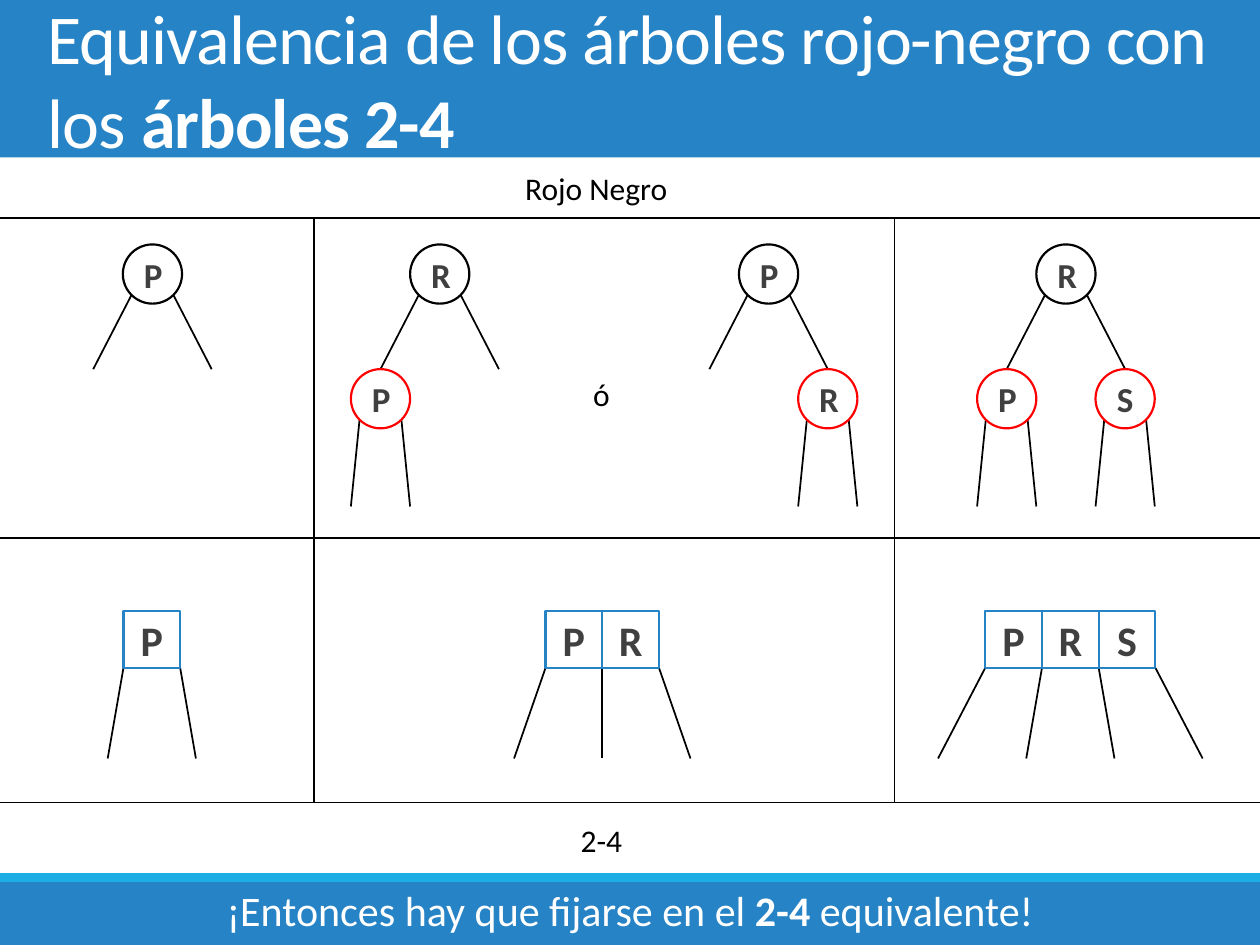
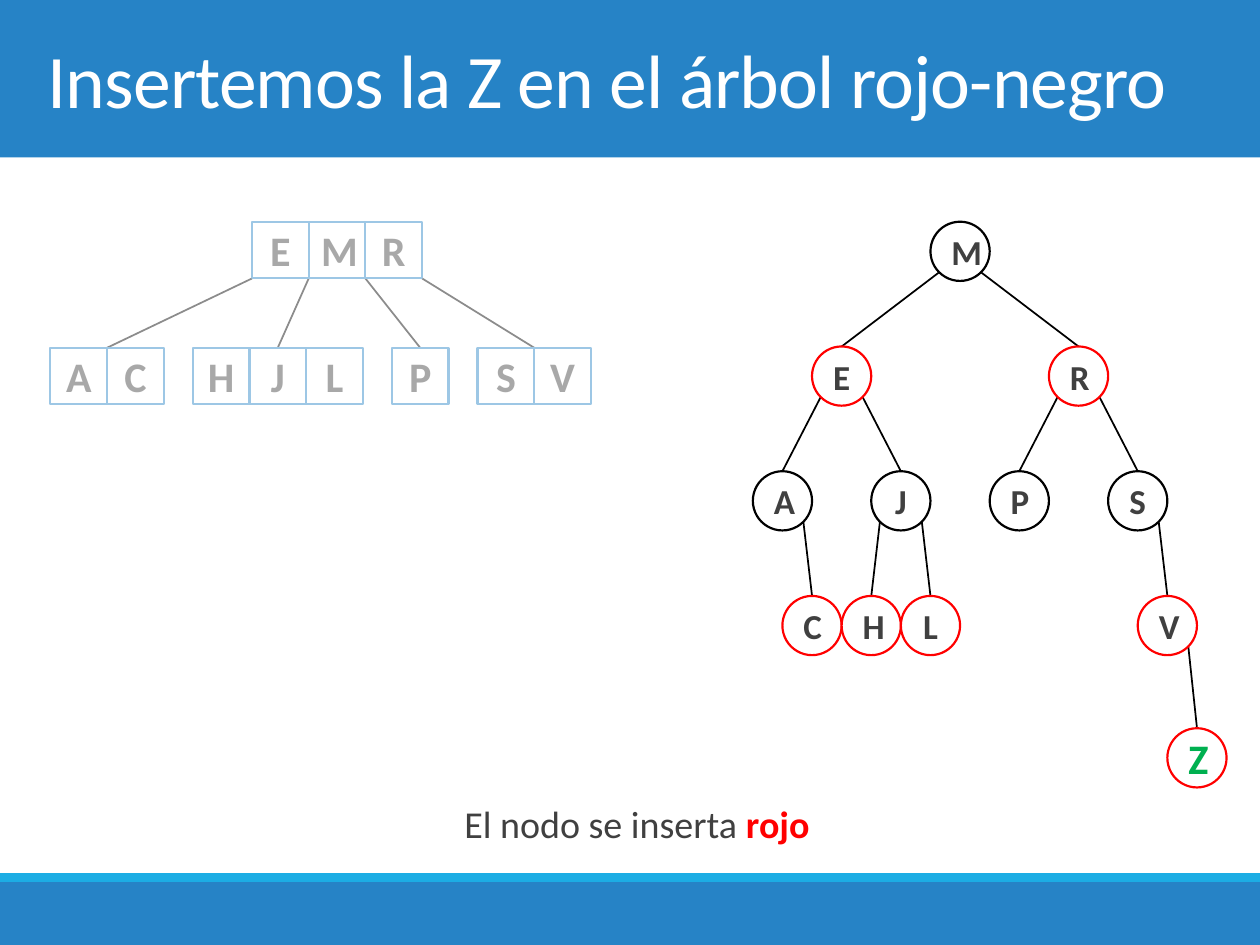
import dataclasses
import pptx
import pptx.dml.color
import pptx.enum.shapes
import pptx.enum.text
import pptx.oxml.ns
import pptx.util
import lxml.etree

Inches = pptx.util.Inches
Pt = pptx.util.Pt
MSO_SHAPE = pptx.enum.shapes.MSO_SHAPE
PP_ALIGN = pptx.enum.text.PP_ALIGN
qn = pptx.oxml.ns.qn

# Shared look
FONT = "Calibri"
BLUE, CYAN, WHITE, BLACK = "2683C6", "1CADE4", "FFFFFF", "000000"
GREY, RED, GREEN = "404040", "FF0000", "00B050"
WIDTH, HEIGHT = 10, 7.5
TITLE_HEIGHT, FOOTER_TOP, STRIPE_TOP = 1.25, 7, 6.93
MARGIN, TEXT_WIDTH = 0.28, 9.45

# Tree measures
DIAMETER = 0.47
RADIUS = DIAMETER / 2
DIAGONAL = RADIUS * 0.707
LEVEL = 0.99
CELL = 0.45
OPEN = "open"  # a branch that ends without a node


@dataclasses.dataclass
class Node:
    letter: str
    line: str = BLACK
    left: object = None
    right: object = None
    color: str = GREY
    size: int = 20


def rgb(color):
    return pptx.dml.color.RGBColor.from_string(color)


def add_run(p, text, size, color, bold=False, spacing=None):
    r = p.add_run()
    r.text = text
    r.font.name = FONT
    r.font.size = Pt(size)
    r.font.color.rgb = rgb(color)
    r.font.bold = bold
    if spacing:
        r.font._element.set("spc", str(int(spacing * 100)))


def add_shape(s, kind, left, top, width, height, fill, line=None):
    sp = s.shapes.add_shape(kind, Inches(left), Inches(top), Inches(width), Inches(height))
    sp.shadow.inherit = False
    sp.fill.solid()
    sp.fill.fore_color.rgb = rgb(fill)
    if line:
        sp.line.color.rgb = rgb(line)
        sp.line.width = Pt(1.25)
    else:
        sp.line.fill.background()
    return sp


def add_letter(s, kind, left, top, side, letter, size, line, color=GREY):
    sp = add_shape(s, kind, left, top, side, side, WHITE, line)
    tf = sp.text_frame
    tf.vertical_anchor = pptx.enum.text.MSO_ANCHOR.MIDDLE
    p = tf.paragraphs[0]
    p.alignment = PP_ALIGN.CENTER
    add_run(p, letter, size, color, bold=True)


def add_line(s, x1, y1, x2, y2):
    line = s.shapes.add_connector(pptx.enum.shapes.MSO_CONNECTOR.STRAIGHT,
                                  Inches(x1), Inches(y1), Inches(x2), Inches(y2))
    line.line.color.rgb = rgb(BLACK)
    line.line.width = Pt(1)
    lxml.etree.SubElement(line._element.spPr, qn("a:effectLst"))


def add_text(s, left, top, width, height, runs, size, color,
             align=PP_ALIGN.LEFT, wrap=True, middle=False, spacing=None):
    """Each run is (text, bold) or (text, bold, color)."""
    sp = s.shapes.add_textbox(Inches(left), Inches(top), Inches(width), Inches(height))
    tf = sp.text_frame
    tf.word_wrap = wrap
    if middle:
        tf.vertical_anchor = pptx.enum.text.MSO_ANCHOR.MIDDLE
    p = tf.paragraphs[0]
    p.alignment = align
    for text, bold, *own_color in runs:
        add_run(p, text, size, own_color[0] if own_color else color, bold, spacing)
    return p


def add_frame(prs, title, size):
    """New slide with the title band, the footer band and the title."""
    s = prs.slides.add_slide(prs.slide_layouts[6])
    for top, bottom, color in ((0, TITLE_HEIGHT, BLUE), (FOOTER_TOP, HEIGHT, BLUE),
                               (STRIPE_TOP, FOOTER_TOP, CYAN)):
        add_shape(s, MSO_SHAPE.RECTANGLE, 0, top, WIDTH, bottom - top, color)
    add_text(s, MARGIN, 0, TEXT_WIDTH, TITLE_HEIGHT, title, size, WHITE,
             middle=True, spacing=-0.5)
    return s


def draw_tree(s, cx, top, node, spread, drops):
    """Red-black tree: root centred on cx; spread halves at each level."""
    for side, child in ((-1, node.left), (1, node.right)):
        if child is None:
            continue
        child_x, child_top = cx + side * spread, top + drops[0]
        add_line(s, cx + side * DIAGONAL, top + RADIUS + DIAGONAL, child_x, child_top)
        if child != OPEN:
            draw_tree(s, child_x, child_top, child, max(spread / 2, RADIUS), drops[1:])
    add_letter(s, MSO_SHAPE.OVAL, cx - RADIUS, top, DIAMETER,
               node.letter, node.size, node.line, node.color)


def draw_cells(s, left, top, letters):
    for i, letter in enumerate(letters):
        add_letter(s, MSO_SHAPE.RECTANGLE, left + i * CELL, top, CELL, letter, 24, BLUE)


def draw_open_cells(s, left, top, letters):
    """2-4 node whose branches fan out from the cell corners."""
    n = len(letters)
    for i in range(n + 1):
        x = left + i * CELL
        add_line(s, x, top + CELL, x + 0.25 * (i - n / 2), top + 1.17)
    draw_cells(s, left, top, letters)


def draw_24_tree(s, left, top, root, root_offset, children, gap=0.23):
    root_left, x = left + root_offset, left
    for i, letters in enumerate(children):
        width = len(letters) * CELL
        add_line(s, root_left + i * CELL, top + CELL, x + width / 2, top + 1)
        draw_cells(s, x, top + 1, letters)
        x += width + gap
    draw_cells(s, root_left, top, root)


def draw_grid(s, columns, rows):
    for y in rows:
        add_line(s, 0, y, WIDTH, y)
    for x in columns:
        add_line(s, x, rows[0], x, rows[-1])


def red_leaf(letter):
    return Node(letter, RED, OPEN, OPEN)


def build_equivalence(prs):
    s = add_frame(prs, [("Equivalencia de los árboles rojo-negro con los ", False),
                        ("árboles 2-4", True)], 40)
    rows, columns = (1.73, 4.27, 6.37), (2.49, 7.1)
    draw_grid(s, columns, rows)

    # Red-black trees: column left, centre within the column, root
    for left, offset, root in (
            (0, 1.21, Node("P", BLACK, OPEN, OPEN)),
            (columns[0], 1.0, Node("R", BLACK, red_leaf("P"), OPEN)),
            (columns[0], 3.61, Node("P", BLACK, OPEN, red_leaf("R"))),
            (columns[1], 1.36, Node("R", BLACK, red_leaf("P"), red_leaf("S")))):
        draw_tree(s, left + offset, rows[0] + 0.21, root, DIAMETER, (LEVEL, 1.09))

    # Equivalent 2-4 nodes
    for left, offset, letters in ((0, 0.98, "P"), (columns[0], 1.84, "PR"),
                                  (columns[1], 0.72, "PRS")):
        draw_open_cells(s, left + offset, rows[1] + 0.58, letters)

    # Labels
    for left, top, width, text in ((4.07, 1.29, 1.34, "Rojo Negro"),
                                   (4.51, 6.47, 0.54, "2-4"), (4.61, 2.93, 0.34, "ó")):
        add_text(s, left, top, width, 0.4, [(text, False)], 18, BLACK, wrap=False)

    # Footer message
    add_text(s, 0, 6.97, WIDTH, 0.5,
             [("¡Entonces hay que fijarse en el ", False), ("2-4", True),
              (" equivalente!", False)], 24, WHITE, PP_ALIGN.CENTER)


def build_insertion(prs):
    s = add_frame(prs, [("Insertemos la Z en el árbol rojo-negro", False)], 43.2)

    # 2-4 tree, faded by a translucent veil
    draw_24_tree(s, 0.4, 1.76, "EMR", 1.6, ("AC", "HJL", "P", "SV"))
    veil = add_shape(s, MSO_SHAPE.RECTANGLE, 0.2, 1.48, 4.78, 3.48, WHITE)
    color = veil._element.spPr.find(qn("a:solidFill"))[0]
    lxml.etree.SubElement(color, qn("a:alpha")).set("val", "55000")

    # Red-black tree with the new node
    z = Node("Z", RED, color=GREEN, size=24)
    e = Node("E", RED, Node("A", right=Node("C", RED)),
             Node("J", BLACK, Node("H", RED), Node("L", RED)))
    r = Node("R", RED, Node("P"), Node("S", right=Node("V", RED, right=z)))
    draw_tree(s, 7.62, 1.76, Node("M", BLACK, e, r), 2 * DIAMETER,
              (LEVEL, LEVEL, LEVEL, 1.05))

    # Message
    p = add_text(s, MARGIN, 6.2, TEXT_WIDTH, 0.57,
                 [("El nodo se inserta ", False), ("rojo", True, RED)],
                 21.7, GREY, PP_ALIGN.CENTER)
    p.line_spacing = 1.3
    p.space_before, p.space_after = Pt(12), Pt(2)
    p._p.get_or_add_pPr().set("marL", str(Inches(0.1)))


prs = pptx.Presentation()
prs.slide_width, prs.slide_height = Inches(WIDTH), Inches(HEIGHT)
build_equivalence(prs)
build_insertion(prs)
prs.save("out.pptx")
